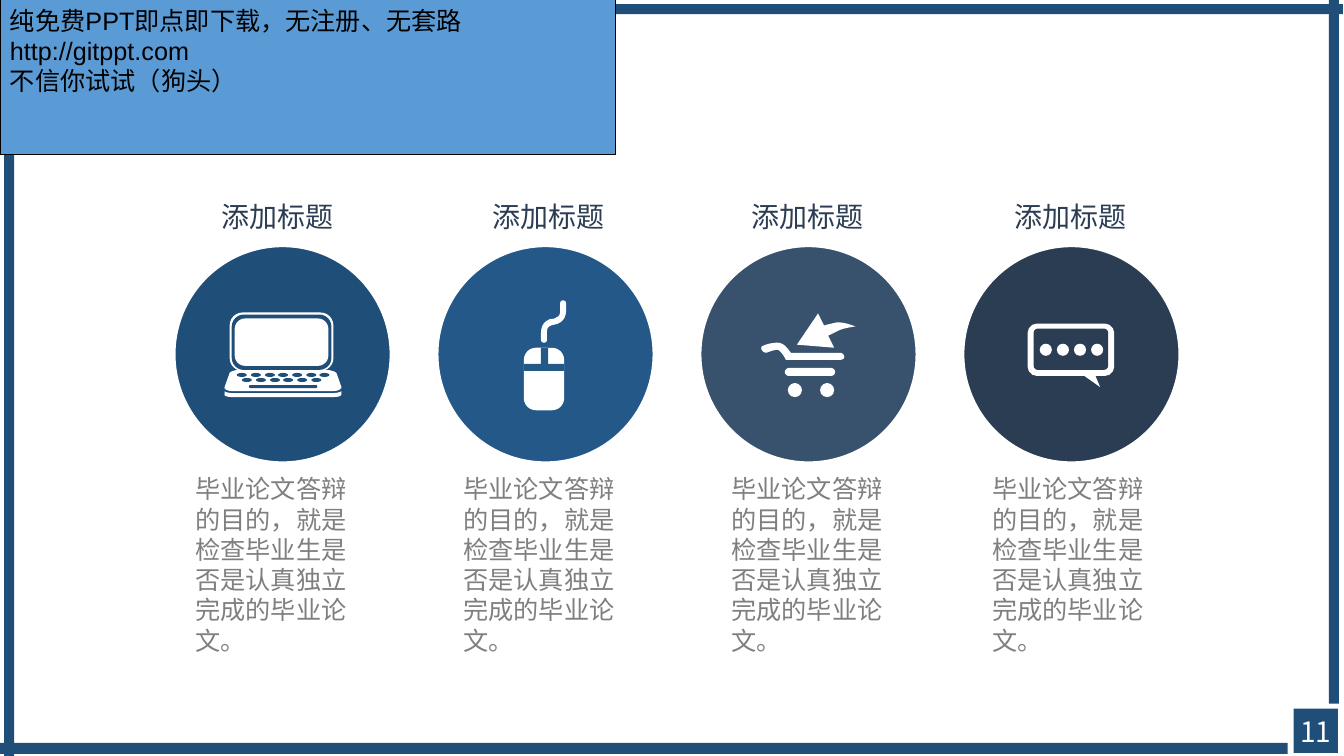
from lxml.etree import SubElement
from pptx import Presentation
from pptx.dml.color import RGBColor as RGB
from pptx.enum.shapes import MSO_SHAPE as Kind
from pptx.enum.text import MSO_ANCHOR as Anchor
from pptx.enum.text import PP_ALIGN as Align
from pptx.oxml.ns import qn
from pptx.util import Pt

PX = 9144
FONT = "Noto Sans CJK SC"
NAVY = RGB(0x1F, 0x4E, 0x79)
BLUE = RGB(0x23, 0x58, 0x89)
SLATE = RGB(0x38, 0x52, 0x6E)
INK = RGB(0x2A, 0x3D, 0x52)
SKY = RGB(0x5B, 0x9B, 0xD5)
GREY = RGB(0x7F, 0x7F, 0x7F)
BLACK = RGB(0x00, 0x00, 0x00)
WHITE = RGB(0xFF, 0xFF, 0xFF)
TITLE = "添加标题"
BODY = "毕业论文答辩的目的，就是检查毕业生是否是认真独立完成的毕业论文。"
NOTICE = "纯免费PPT即点即下载，无注册、无套路\nhttp://gitppt.com\n不信你试试（狗头）"


def paint(shape, color):
    shape.shadow.inherit = False
    shape.fill.solid()
    shape.fill.fore_color.rgb = color
    shape.line.fill.background()
    return shape


def edge(shape, color, width):
    shape.line.color.rgb = color
    shape.line.width = Pt(width)


def add(shapes, kind, box, color, round=None):
    shape = shapes.add_shape(kind, *(n * PX for n in box))
    if round is not None:
        shape.adjustments[0] = round
    return paint(shape, color)


def trace(start, *steps):
    """Return points through lines (x, y) and cubic curves of six numbers."""
    points = [start]
    for step in steps:
        if len(step) == 2:
            points.append(step)
            continue
        knots = [points[-1], step[:2], step[2:4], step[4:]]
        for i in range(1, 9):
            t = i / 8
            mix = [(1 - t) ** 3, 3 * t * (1 - t) ** 2, 3 * t * t * (1 - t), t ** 3]
            points.append(tuple(sum(m * k[a] for m, k in zip(mix, knots)) for a in (0, 1)))
    return points


def draw(shapes, start, *steps):
    points = [(x * PX, y * PX) for x, y in trace(start, *steps)]
    pen = shapes.build_freeform(*points[0], scale=1.0)
    pen.add_line_segments(points[1:], close=True)
    paint(pen.convert_to_shape(), WHITE)


def style(frame, text, size, color, align=Align.LEFT, wrap=False, face=FONT):
    frame.word_wrap = wrap
    frame.vertical_anchor = Anchor.TOP
    frame.text = text
    for para in frame.paragraphs:
        para.alignment = align
        for run in para.runs:
            run.font.name = face
            run.font.size = Pt(size)
            run.font.color.rgb = color
            SubElement(run.font._element, qn("a:ea")).set("typeface", FONT)


def write(shapes, box, *look, **more):
    style(shapes.add_textbox(*(n * PX for n in box)).text_frame, *look, **more)


def laptop(shapes, back):
    draw(shapes, (235, 367), (324, 367), (329, 367, 333, 369, 334, 370), (339, 384),
         (339, 386, 336, 388, 330, 388), (231, 388), (226, 388, 222, 386, 223, 384),
         (228, 370), (228, 369, 231, 368, 235, 367))
    draw(shapes, (223, 388), (223, 389, 227, 390, 231, 390), (330, 390),
         (335, 390, 338, 389, 339, 388), (339, 391), (339, 393, 336, 394, 330, 394),
         (231, 394), (226, 394, 222, 393, 223, 391))
    for box, color in (((228, 310, 103, 58), WHITE), ((230, 312, 99, 55), back),
                       ((233, 316, 93, 47), WHITE)):
        add(shapes, Kind.ROUNDED_RECTANGLE, box, color, 0.22)
    for left, top, count in ((235, 370, 7), (240, 375, 6)):
        for i in range(count):
            add(shapes, Kind.OVAL, (left + 14 * i - i // 3, top, 10, 4), back)
    add(shapes, Kind.ROUNDED_RECTANGLE, (247, 382, 68, 3), back, 0.5)


def mouse(shapes, back):
    draw(shapes, (556, 301), (556, 309), (556, 312, 555, 314, 552, 315),
         (550, 317, 547, 316, 545, 317), (536, 321, 537, 329, 537, 337),
         (537, 341, 543, 341, 543, 337), (543, 329), (543, 326, 544, 324, 547, 323),
         (549, 322, 552, 322, 554, 321), (563, 317, 562, 309, 562, 301),
         (562, 297, 556, 297, 556, 301))
    add(shapes, Kind.ROUNDED_RECTANGLE, (520, 345, 40, 62), WHITE, 0.3)
    add(shapes, Kind.RECTANGLE, (537, 345, 7, 16), back)
    add(shapes, Kind.RECTANGLE, (520, 361, 40, 7), back)


def cart(shapes, back):
    draw(shapes, (758, 343), (756, 343, 755, 345, 756, 347), (757, 349, 759, 350, 761, 350),
         (763, 349, 769, 347, 772, 347), (773, 347, 777, 351, 779, 355), (780, 357),
         (834, 357), (836, 357, 838, 356, 838, 354), (838, 352, 836, 350, 834, 350),
         (785, 350), (782, 346, 778, 340, 772, 340), (766, 340, 759, 342, 758, 343))
    add(shapes, Kind.ROUNDED_RECTANGLE, (779, 365, 50, 8), WHITE, 0.5)
    for left in (782, 814):
        add(shapes, Kind.OVAL, (left, 380, 14, 14), WHITE)
    draw(shapes, (830, 320), (826, 321, 821, 322, 818, 323), (812, 311), (791, 342),
         (828, 345), (822, 333), (827, 331, 833, 327, 838, 326),
         (847, 324, 849, 324, 849, 324), (849, 324, 838, 319, 830, 320))


def chat(shapes, back):
    add(shapes, Kind.ROUNDED_RECTANGLE, (1020, 321, 86, 52), WHITE, 0.18)
    add(shapes, Kind.ROUNDED_RECTANGLE, (1026, 326, 74, 41), back, 0.1)
    draw(shapes, (1075, 372), (1092, 384), (1087, 372))
    for i in range(4):
        add(shapes, Kind.OVAL, (1032 + 17 * i, 341, 12, 12), WHITE)


def column(shapes, left, head, body, color, icon):
    edge(add(shapes, Kind.OVAL, (left, 243, 217, 217), color), WHITE, 3.25)
    icon(shapes.add_group_shape().shapes, color)
    write(shapes, (head, 193, 137, 44), TITLE, 20, INK, Align.CENTER)
    write(shapes, (body, 465, 185, 190), BODY, 18, GREY, wrap=True)


def notice(shapes):
    panel = add(shapes, Kind.RECTANGLE, (0, 0, 611, 153), SKY)
    edge(panel, BLACK, 0.75)
    style(panel.text_frame, NOTICE, 18, BLACK, wrap=True, face="Arial")


def main():
    deck = Presentation()
    deck.slide_width, deck.slide_height = 1334 * PX, 750 * PX
    shapes = deck.slides.add_slide(deck.slide_layouts[6]).shapes
    columns = ((207, 184, NAVY, laptop), (476, 450, BLUE, mouse),
               (733, 716, SLATE, cart), (994, 975, INK, chat))
    for i, (head, body, color, icon) in enumerate(columns):
        column(shapes, 172 + 261 * i, head, body, color, icon)
    for bar in ((77, 4, 1256, 10), (0, 737, 1278, 11), (1319, 0, 10, 698),
                (4, 62, 10, 688), (1284, 703, 44, 44)):
        add(shapes, Kind.RECTANGLE, bar, NAVY)
    write(shapes, (1278, 704, 56, 44), "11", 20, WHITE, Align.CENTER)
    notice(shapes)
    deck.save("out.pptx")


if __name__ == "__main__":
    main()
